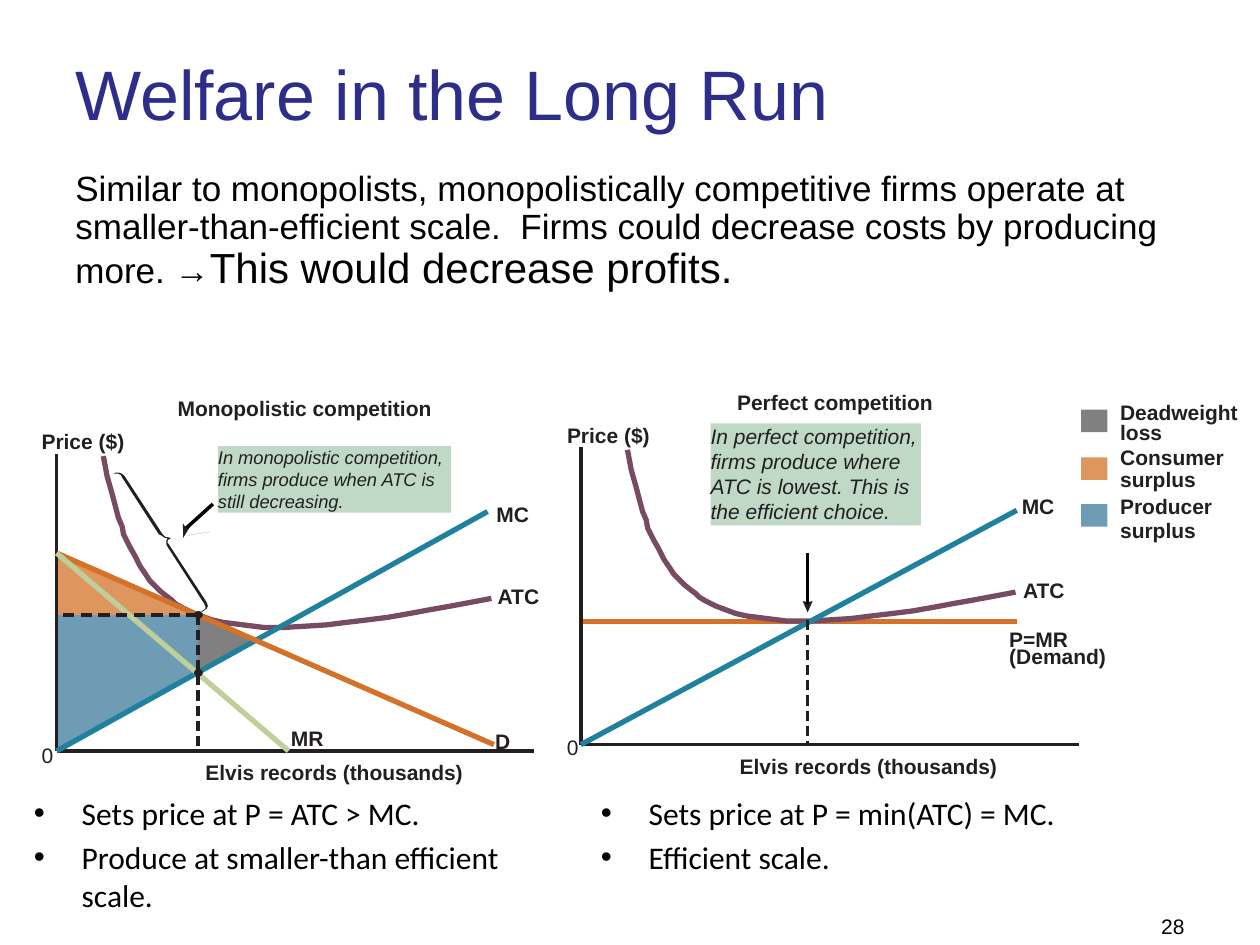
from lxml.etree import SubElement
from pptx import Presentation
from pptx.dml.color import RGBColor
from pptx.enum.shapes import MSO_CONNECTOR, MSO_SHAPE
from pptx.enum.text import MSO_ANCHOR, MSO_AUTO_SIZE, PP_ALIGN
from pptx.oxml.ns import qn
from pptx.util import Pt

SCALE = 9144  # EMU in one px, 100 px to the inch
COLORS = {
    "black": "000000", "ink": "231F20", "title": "2D2D8A",
    "atc": "774C62", "mc": "1F819D", "demand": "D47229", "mr": "BFCF9C",
    "producer": "6D9CB4", "consumer": "DF965E", "deadweight": "808080",
    "callout": "C0D9C7",
}
COLORS = {name: RGBColor.from_string(value) for name, value in COLORS.items()}

presentation = Presentation()
presentation.slide_width = 1000 * SCALE
presentation.slide_height = 750 * SCALE
slide = presentation.slides.add_slide(presentation.slide_layouts[6])
shapes = slide.shapes


def add_line(x1, y1, x2, y2, color="ink", width=0):
    """Draw a straight line; width 0 is a hairline."""
    connector = shapes.add_connector(
        MSO_CONNECTOR.STRAIGHT, x1 * SCALE, y1 * SCALE, x2 * SCALE, y2 * SCALE)
    connector.line.color.rgb = COLORS[color]
    connector.line.width = Pt(width)
    SubElement(connector._element.spPr, qn("a:effectLst"))


def add_path(points, color, filled=True):
    """Draw a filled outline, or an open curve 3 pt wide."""
    builder = shapes.build_freeform(*points[0], scale=SCALE)
    builder.add_line_segments(points[1:], close=filled)
    shape = builder.convert_to_shape()
    shape.shadow.inherit = False
    if filled:
        shape.fill.solid()
        shape.fill.fore_color.rgb = COLORS[color]
        shape.line.fill.background()
    else:
        shape.fill.background()
        shape.line.color.rgb = COLORS[color]
        shape.line.width = Pt(3)
    return shape


# Surplus areas
add_path([(45, 488), (157, 488), (157, 534), (45, 596)], "producer")
add_path([(45, 439), (45, 488), (157, 488)], "consumer")
add_path([(157, 534), (157, 488), (203, 508)], "deadweight")

# Axes, curves and dashed guides
atc_curve = [
    (82, 362), (85, 378), (89, 392), (94, 411), (97, 418), (98, 424),
    (103, 434), (107, 441), (111, 449), (115, 455), (119, 461), (123, 465),
    (127, 469), (132, 473), (136, 476), (139, 479), (144, 482), (148, 484),
    (152, 486), (160, 489), (168, 492), (177, 494), (185, 495), (193, 496),
    (201, 497), (209, 498), (226, 498), (243, 497), (259, 496), (275, 494),
    (292, 492), (308, 490), (325, 487), (341, 484), (358, 481), (374, 478),
    (390, 475)]
add_line(461, 493, 807, 493, "demand", 3)
for dx, dy in [(0, 0), (416, -5)]:
    add_path([(x + dx, y + dy) for x, y in atc_curve], "atc", filled=False)

for line in [
    (45, 596, 45, 360), (45, 596, 424, 596),
    (461, 591, 461, 355), (461, 591, 856, 591),
    (807, 405, 461, 591, "mc", 3), (387, 406, 45, 596, "mc", 3),
    (45, 439, 392, 591, "demand", 3), (45, 439, 229, 596, "mr", 3),
]:
    add_line(*line)

for x in range(157, 45, -14):
    add_line(x, 488, x - 9, 488)
for x, top, bottom in [(157, 488, 596), (641, 492, 591)]:
    for y in range(top, bottom, 12):
        add_line(x, y, x, min(y + 8, bottom))

# Legend swatches, points on the curves and callouts
rectangle, oval = MSO_SHAPE.RECTANGLE, MSO_SHAPE.OVAL
for kind, left, top, width, height, color, text, size in [
    (rectangle, 858, 325, 21, 18, "deadweight", "", 0),
    (rectangle, 858, 363, 21, 18, "consumer", "", 0),
    (rectangle, 858, 400, 21, 18, "producer", "", 0),
    (oval, 154, 531, 7, 6, "ink", "", 0),
    (oval, 154, 485, 7, 6, "ink", "", 0),
    (rectangle, 564, 336, 167, 81, "callout",
     "In perfect competition, firms produce where ATC is lowest. "
     "This is the efficient choice.", 12),
    (rectangle, 173, 354, 185, 53, "callout",
     "In monopolistic competition, firms produce when ATC is "
     "still decreasing.", 10.5),
]:
    shape = shapes.add_shape(
        kind, left * SCALE, top * SCALE, width * SCALE, height * SCALE)
    shape.shadow.inherit = False
    shape.fill.solid()
    shape.fill.fore_color.rgb = COLORS[color]
    shape.line.fill.background()
    if text:
        frame = shape.text_frame
        frame.word_wrap = True
        frame.vertical_anchor = MSO_ANCHOR.TOP
        frame.margin_left = frame.margin_right = 0
        frame.margin_top = frame.margin_bottom = 0
        paragraph = frame.paragraphs[0]
        paragraph.alignment = PP_ALIGN.LEFT
        run = paragraph.add_run()
        run.text = text
        run.font.name = "Arial"
        run.font.size = Pt(size)
        run.font.italic = True
        run.font.color.rgb = COLORS["ink"]

# Callout arrows and brace
add_path([(641, 486), (645, 477), (641, 478), (637, 477)], "ink")
add_line(641, 479, 641, 439, "black")
add_path([
    (133, 434), (132, 432), (132, 429), (133, 427), (131, 427), (128, 425),
    (126, 424), (97, 379), (96, 377), (94, 376), (90, 376), (92, 375),
    (94, 375), (97, 376), (99, 378), (129, 424), (131, 426), (136, 427),
    (134, 428), (133, 429), (133, 431), (134, 432), (164, 478), (165, 481),
    (164, 483), (160, 486), (160, 485), (162, 484), (163, 483), (163, 481),
    (162, 479)], "ink")
arrowhead = add_path([
    (142, 425), (152, 420), (150, 419), (148, 418), (148, 415)], "ink")
arrowhead.rotation = 328.2
add_path([(149, 425), (167, 422), (149, 425)], "ink")
add_line(148, 419, 169, 400, "black")

# Chart labels
for left, top, width, text in [
    (33, 589, 10, "0"), (450, 583, 10, "0"),
    (141, 314, 210, "Monopolistic competition"),
    (585, 309, 161, "Perfect competition"),
    (33, 340, 68, "Price ($)"), (450, 335, 68, "Price ($)"),
    (163, 603, 212, "Elvis records (thousands)"),
    (587, 598, 212, "Elvis records (thousands)"),
    (394, 398, 27, "MC"), (811, 392, 27, "MC"),
    (395, 463, 34, "ATC"), (812, 458, 34, "ATC"),
    (231, 576, 27, "MR"), (393, 578, 12, "D"),
    (801, 497, 48, "P=MR"), (801, 511, 79, "(Demand)"),
    (889, 317, 97, "Deadweight"), (889, 333, 35, "loss"),
    (889, 353, 85, "Consumer"), (889, 370, 62, "surplus"),
    (889, 392, 76, "Producer"), (889, 411, 62, "surplus"),
]:
    label = shapes.add_textbox(
        left * SCALE, top * SCALE, width * SCALE, 22 * SCALE)
    frame = label.text_frame
    frame.word_wrap = False
    frame.auto_size = MSO_AUTO_SIZE.SHAPE_TO_FIT_TEXT
    frame.margin_left = frame.margin_right = 0
    frame.margin_top = frame.margin_bottom = 0
    run = frame.paragraphs[0].add_run()
    run.text = text
    run.font.name = "Arial"
    run.font.size = Pt(12)
    run.font.bold = text != "0"
    run.font.color.rgb = COLORS["ink"]

# Title, body and slide number
for left, top, width, height, anchor, alignment, spacing, color, runs in [
    (50, 30, 900, 87, MSO_ANCHOR.MIDDLE, PP_ALIGN.LEFT, 1.0, "title",
     [("Welfare in the Long Run", 40)]),
    (50, 131, 900, 120, MSO_ANCHOR.TOP, PP_ALIGN.LEFT, 0.9, "black",
     [("Similar to monopolists, monopolistically competitive firms operate "
       "at smaller-than-efficient scale.  Firms could decrease costs by "
       "producing more. →", 20), ("This would decrease profits.", 24)]),
    (867, 725, 83, 25, MSO_ANCHOR.BOTTOM, PP_ALIGN.RIGHT, 1.0, "black",
     [("28", 12)]),
]:
    box = shapes.add_textbox(
        left * SCALE, top * SCALE, width * SCALE, height * SCALE)
    box.text_frame.word_wrap = True
    box.text_frame.vertical_anchor = anchor
    paragraph = box.text_frame.paragraphs[0]
    paragraph.alignment = alignment
    paragraph.line_spacing = spacing
    for text, size in runs:
        run = paragraph.add_run()
        run.text = text
        run.font.name = "Arial"
        run.font.size = Pt(size)
        run.font.color.rgb = COLORS[color]

# Bulleted conclusions
for left, width, items in [
    (467, 458, ["Sets price at P = min(ATC) = MC.", "Efficient scale."]),
    (17, 450, ["Sets price at P = ATC > MC.",
               "Produce at smaller-than efficient scale."]),
]:
    box = shapes.add_textbox(left * SCALE, 625 * SCALE, width * SCALE, 92 * SCALE)
    frame = box.text_frame
    frame.word_wrap = True
    for index, text in enumerate(items):
        paragraph = frame.add_paragraph() if index else frame.paragraphs[0]
        properties = paragraph._p.get_or_add_pPr()
        properties.set("marL", str(38 * SCALE))
        properties.set("indent", str(-38 * SCALE))
        SubElement(properties, qn("a:buFont"), typeface="Arial")
        SubElement(properties, qn("a:buChar"), char="•")
        if index:
            paragraph.space_before = Pt(3.6)
        run = paragraph.add_run()
        run.text = text
        run.font.name = "Calibri"
        run.font.size = Pt(18)
        run.font.color.rgb = COLORS["black"]

presentation.save("out.pptx")
